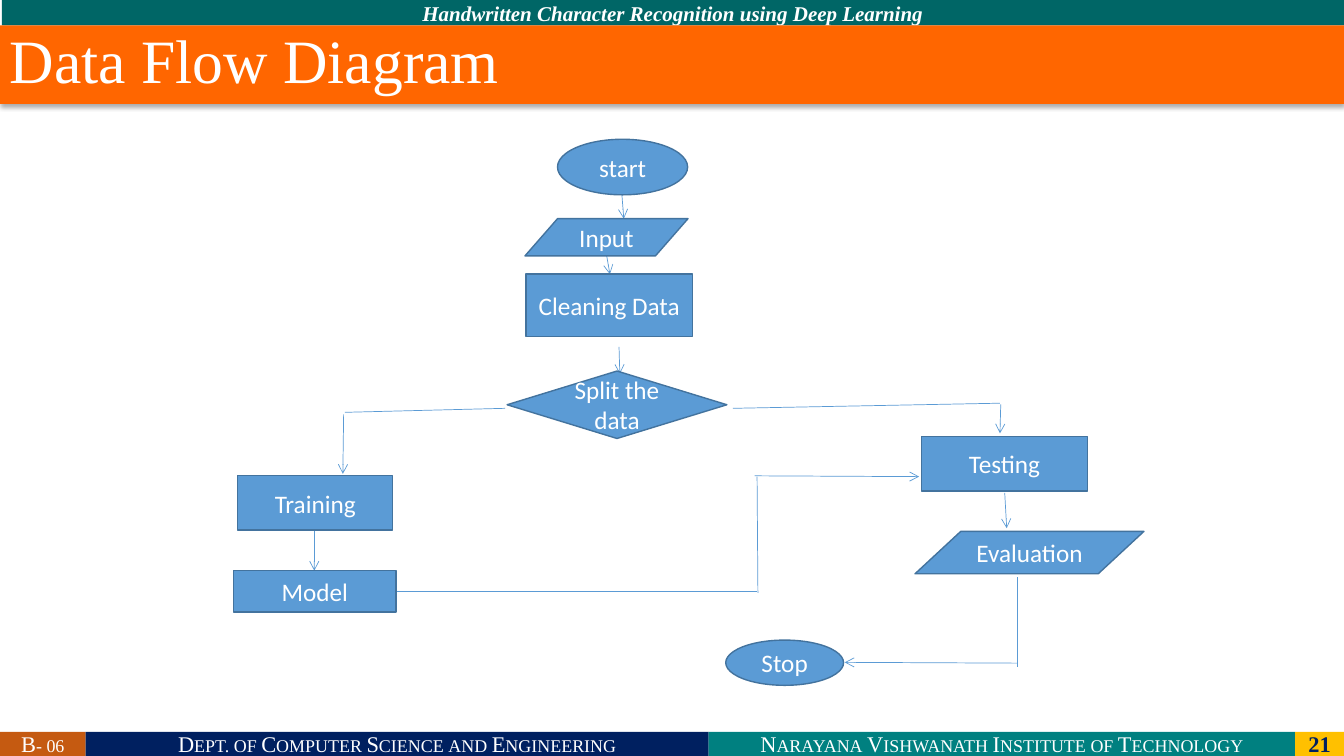
from lxml import etree
from pptx import Presentation
from pptx import util as u
from pptx.dml.color import RGBColor
from pptx.enum import shapes, text
from pptx.oxml import ns

HUES = {
    "white": "FFFFFF", "navy": "002060", "teal": "008080", "gold": "FFC000",
    "pine": "006666", "rust": "C55A11", "orange": "FF6600",
    "blue": "5B9BD5", "edge": "43739E", "black": "000000",
}
KIND = shapes.MSO_SHAPE
WIDE, HIGH = 33.87, 19.05


def hue(name):
    return RGBColor.from_string(HUES[name])


def add(node, tag, **attrs):
    return etree.SubElement(node, ns.qn(tag), attrs)


class Chart:
    serif, sans = "Times New Roman", "Calibri"

    def __init__(self, slide):
        self.slide = slide

    def shape(self, kind, box, fill, edge=None):
        item = self.slide.shapes.add_shape(kind, *map(u.Cm, box))
        item.shadow.inherit = False
        item.fill.solid()
        item.fill.fore_color.rgb = hue(fill)
        if edge:
            item.line.color.rgb = hue(edge)
            item.line.width = u.Pt(1)
        else:
            item.line.fill.background()
        return item

    def label(self, item, words, size, face, color="white", bold=False,
              slant=False, small=False):
        frame = item.text_frame
        frame.word_wrap = True
        frame.vertical_anchor = text.MSO_ANCHOR.MIDDLE
        para = frame.paragraphs[0]
        para.alignment = text.PP_ALIGN.CENTER
        run = para.add_run()
        run.text = words
        font = run.font
        font.name, font.size = face, u.Pt(size)
        font.bold, font.italic = bold, slant
        font.color.rgb = hue(color)
        if small:
            run._r.get_or_add_rPr().set("cap", "small")

    def band(self, box, fill, words, size=16, **look):
        item = self.shape(KIND.RECTANGLE, box, fill)
        self.label(item, words, size, self.serif, **look)
        return item

    def title(self, box, words):
        item = self.band(box, "orange", words, 44)
        item.text_frame.vertical_anchor = text.MSO_ANCHOR.TOP
        para = item.text_frame.paragraphs[0]
        para.alignment = text.PP_ALIGN.LEFT
        para.line_spacing = 0.9
        glow = item._element.spPr.find(ns.qn("a:effectLst"))
        shade = add(glow, "a:outerShdw", blurRad=str(u.Pt(3.5)),
                    dist=str(u.Pt(2.2)), dir="5400000", rotWithShape="0")
        tint = add(shade, "a:srgbClr", val=HUES["black"])
        add(tint, "a:alpha", val="32000")

    def step(self, kind, box, words):
        item = self.shape(kind, box, "blue", "edge")
        self.label(item, words, 18, self.sans)

    def link(self, ends, arrow):
        line = self.slide.shapes.add_connector(
            shapes.MSO_CONNECTOR.STRAIGHT, *map(u.Cm, ends))
        line.line.color.rgb = hue("blue")
        line.line.width = u.Pt(0.5)
        if arrow:
            add(line.line._get_or_add_ln(), "a:tailEnd", type="arrow")
        add(line._element.spPr, "a:effectLst")


def main():
    deck = Presentation()
    deck.slide_width, deck.slide_height = u.Cm(WIDE), u.Cm(HIGH)
    flow = Chart(deck.slides.add_slide(deck.slide_layouts[6]))

    # Footer: each band ends where the next begins
    foot = [
        (0, "rust", "B- 06", {"small": True}),
        (2.16, "navy", "Dept. of Computer Science and Engineering",
         {"small": True}),
        (17.86, "teal", "Narayana Vishwanath Institute of Technology",
         {"small": True}),
        (32.64, "gold", "21", {"color": "navy", "bold": True}),
    ]
    stops = [part[0] for part in foot[1:]] + [WIDE]
    for (left, fill, words, look), stop in zip(foot, stops):
        flow.band((left, 18.44, stop - left, 0.61), fill, words, **look)

    # Header and title
    flow.band((0.05, 0, WIDE - 0.05, 0.64), "pine",
              "Handwritten Character Recognition using Deep Learning",
              15, bold=True, slant=True)
    flow.title((0, 0.64, WIDE, 1.98), "Data Flow Diagram")

    # Links between steps: ends, arrow
    links = [
        ((15.67, 4.88, 15.72, 5.51), True),
        ((15.29, 6.45, 15.37, 6.91), True),
        ((15.6, 8.74, 15.62, 9.42), True),
        ((12.73, 10.29, 8.69, 10.39), False),
        ((8.66, 10.44, 8.64, 11.94), True),
        ((18.47, 10.29, 25.2, 10.16), False),
        ((25.22, 10.19, 25.2, 10.92), True),
        ((7.92, 13.36, 7.92, 14.38), True),
        ((9.96, 14.91, 19.08, 14.91), False),
        ((19.1, 14.94, 19.08, 12.01), False),
        ((19.02, 11.99, 23.16, 12.01), True),
        ((25.32, 12.42, 25.37, 13.31), True),
        ((25.65, 14.55, 25.65, 16.81), False),
        ((25.65, 16.71, 21.29, 16.69), True),
    ]
    for ends, arrow in links:
        flow.link(ends, arrow)

    # Steps
    steps = [
        (KIND.OVAL, (14.05, 3.51, 3.28, 1.4), "start"),
        (KIND.FLOWCHART_DATA, (13.23, 5.51, 4.11, 0.94), "Input"),
        (KIND.RECTANGLE, (13.26, 6.91, 4.19, 1.57), "Cleaning Data"),
        (KIND.FLOWCHART_DECISION, (12.78, 9.35, 5.54, 1.7), "Split the data"),
        (KIND.RECTANGLE, (5.99, 11.99, 3.91, 1.37), "Training"),
        (KIND.RECTANGLE, (5.89, 14.38, 4.09, 1.04), "Model"),
        (KIND.RECTANGLE, (23.22, 11, 4.19, 1.37), "Testing"),
        (KIND.FLOWCHART_DATA, (23.06, 13.39, 5.77, 1.07), "Evaluation"),
        (KIND.OVAL, (18.29, 16.13, 2.97, 1.14), "Stop"),
    ]
    for kind, box, words in steps:
        flow.step(kind, box, words)

    deck.save("out.pptx")


if __name__ == "__main__":
    main()
